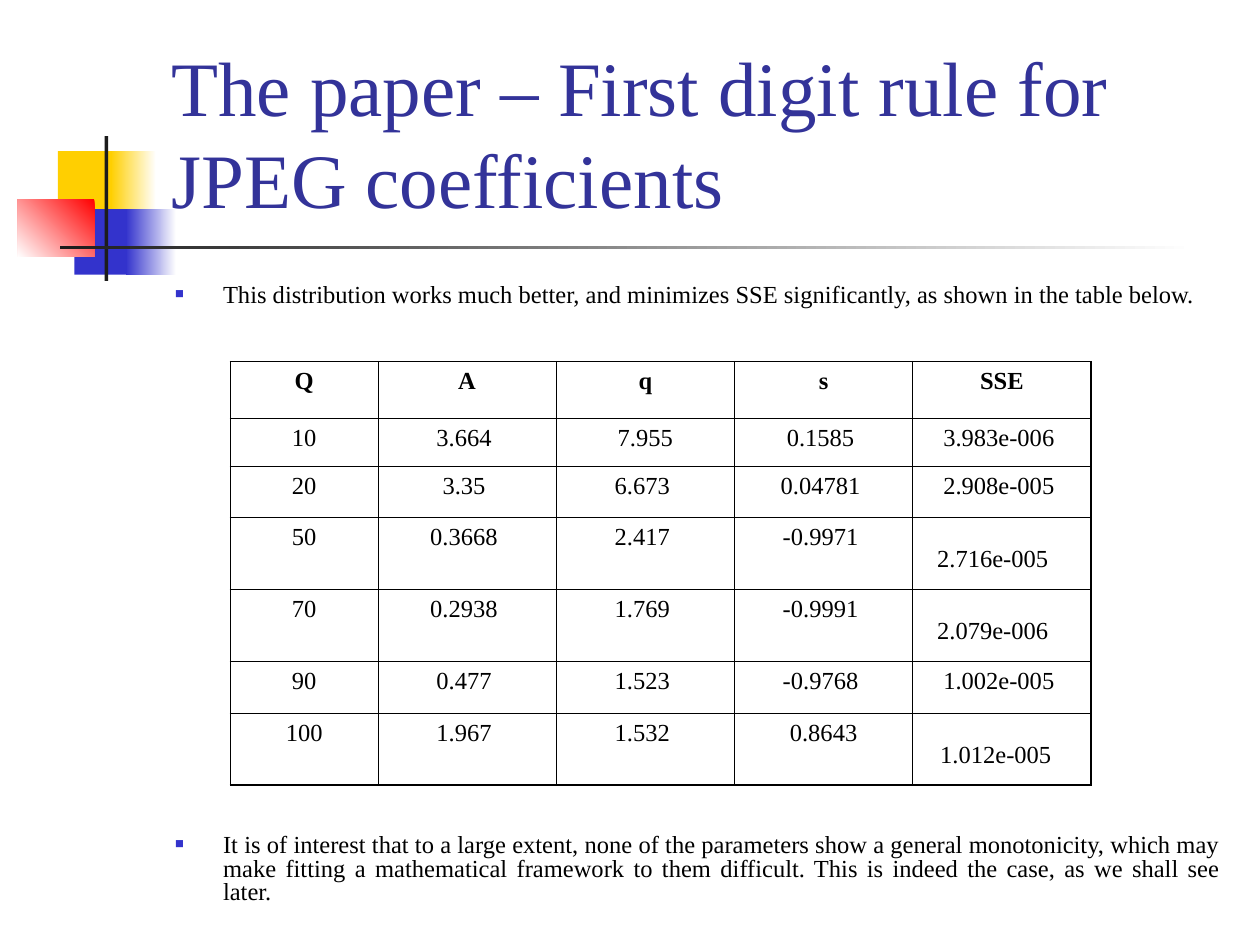
from lxml.etree import SubElement
from pptx import Presentation
from pptx.dml.color import RGBColor
from pptx.enum.shapes import MSO_SHAPE
from pptx.enum.text import MSO_ANCHOR, MSO_AUTO_SIZE, PP_ALIGN
from pptx.oxml.ns import qn
from pptx.util import Inches, Pt

presentation = Presentation()
presentation.slide_width = Inches(10)
presentation.slide_height = Inches(7.5)
column = presentation.slide_width // 100
row = presentation.slide_height // 75


def grid_box(left, top, width, height):
    return [round(left * column), round(top * row), round(width * column), round(height * row)]


def add_run(paragraph, text, size, color="000000", bold=False):
    run = paragraph.add_run()
    run.text = text
    run.font.name = "Times New Roman"
    run.font.size = Pt(size)
    run.font.bold = bold
    run.font.color.rgb = RGBColor.from_string(color)


slide = presentation.slides.add_slide(presentation.slide_layouts[1])
title = slide.shapes.title
body = slide.placeholders[1]

decorations = [
    ((4.6, 12, 4.8, 5.2), ["FFCF01"], 0),
    ((8.8, 12, 3.6, 5.2), ["FFFFFF", "FFCF01"], 180),
    ((5.9, 16.6, 4.6, 5.2), ["3333CC"], 0),
    ((10, 16.6, 4, 5.2), ["FFFFFF", "3333CC"], 180),
    ((1.4, 15.8, 6.1, 4.6), ["FF0000", "FFFFFF"], 225),
    ((8.3, 10.8, 0.3, 11.5), ["1C1C1C"], 0),
    ((4.8, 19.5, 90, 0.3), ["FFFFFF", "1C1C1C"], 180),
]
for box, colors, angle in decorations:
    shape = slide.shapes.add_shape(MSO_SHAPE.RECTANGLE, *grid_box(*box))
    shape.shadow.inherit = False
    shape.line.fill.background()
    if len(colors) == 1:
        shape.fill.solid()
        shape.fill.fore_color.rgb = RGBColor.from_string(colors[0])
    else:
        shape.fill.gradient()
        shape.fill.gradient_angle = angle
        for stop, color in zip(shape.fill.gradient_stops, colors):
            stop.color.rgb = RGBColor.from_string(color)
    title.element.addprevious(shape.element)

for placeholder, box, anchor in [
    (title, (12.6, 2.3, 85.2, 16), MSO_ANCHOR.BOTTOM),
    (body, (12.9, 22.1, 85, 51.3), MSO_ANCHOR.TOP),
]:
    placeholder.left, placeholder.top, placeholder.width, placeholder.height = grid_box(*box)
    placeholder.text_frame.auto_size = MSO_AUTO_SIZE.NONE
    placeholder.text_frame.vertical_anchor = anchor
    placeholder.text_frame.word_wrap = True

heading = title.text_frame.paragraphs[0]
heading.alignment = PP_ALIGN.LEFT
add_run(heading, "The paper – First digit rule for JPEG coefficients", 44, "333399")

remarks = [
    ("This distribution works much better, and minimizes SSE significantly, "
     "as shown in the table below.", 3.5),
    ("It is of interest that to a large extent, none of the parameters show a general "
     "monotonicity, which may make fitting a mathematical framework to them difficult. "
     "This is indeed the case, as we shall see later.", 301),
]
for index, (text, space_before) in enumerate(remarks):
    paragraph = body.text_frame.paragraphs[0] if index == 0 else body.text_frame.add_paragraph()
    paragraph.alignment = PP_ALIGN.JUSTIFY
    paragraph.line_spacing = 0.8
    paragraph.space_before = Pt(space_before)
    properties = paragraph._p.get_or_add_pPr()
    properties.set("marL", str(round(3.8 * column)))
    properties.set("indent", str(round(-3.8 * column)))
    SubElement(SubElement(properties, qn("a:buClr")), qn("a:srgbClr"), val="3333CC")
    SubElement(properties, qn("a:buSzPct"), val="60000")
    SubElement(properties, qn("a:buFont"), typeface="Times New Roman")
    SubElement(properties, qn("a:buChar"), char="■")
    add_run(paragraph, text, 14)

records = [
    ["Q", "A", "q", "s", "SSE"],
    ["10", "3.664 ", " 7.955 ", "0.1585 ", "3.983e-006 "],
    ["20", "3.35 ", "6.673 ", "0.04781 ", "2.908e-005 "],
    ["50", "0.3668 ", "2.417 ", "-0.9971 ", "2.716e-005"],
    ["70", "0.2938 ", "1.769 ", "-0.9991 ", "2.079e-006"],
    ["90", "0.477 ", "1.523 ", "-0.9768 ", "1.002e-005 "],
    ["100", "1.967 ", "1.532 ", " 0.8643 ", "1.012e-005"],
]
column_widths = [11.7] + [14.15] * 4
row_heights = [4.5, 3.8, 4.1, 5.7, 5.7, 4.1, 5.7]
tall_space_sizes = {3: [28, 14], 4: [28, 14], 6: [28]}
last_row, last_column = len(records) - 1, len(column_widths) - 1

table = slide.shapes.add_table(
    len(records), len(column_widths),
    *grid_box(18.3, 28.7, sum(column_widths), sum(row_heights)),
).table
table.first_row = False
table.horz_banding = False
for table_column, width in zip(table.columns, column_widths):
    table_column.width = round(width * column)
for table_row, height in zip(table.rows, row_heights):
    table_row.height = round(height * row)

for row_index, record in enumerate(records):
    for column_index, text in enumerate(record):
        cell = table.cell(row_index, column_index)
        paragraph = cell.text_frame.paragraphs[0]
        paragraph.alignment = PP_ALIGN.CENTER
        paragraph.space_before = Pt(3.5)
        add_run(paragraph, text, 14, bold=row_index == 0)
        if column_index == last_column:
            for size in tall_space_sizes.get(row_index, []):
                add_run(paragraph, " ", size)
        outer_sides = {
            "a:lnL": column_index == 0,
            "a:lnR": column_index == last_column,
            "a:lnT": row_index == 0,
            "a:lnB": row_index == last_row,
        }
        cell_properties = cell._tc.get_or_add_tcPr()
        for side, is_outer in outer_sides.items():
            border = SubElement(cell_properties, qn(side), w=str(Pt(1.08 if is_outer else 0.45)))
            SubElement(SubElement(border, qn("a:solidFill")), qn("a:srgbClr"), val="000000")
        cell.fill.background()

presentation.save("out.pptx")
